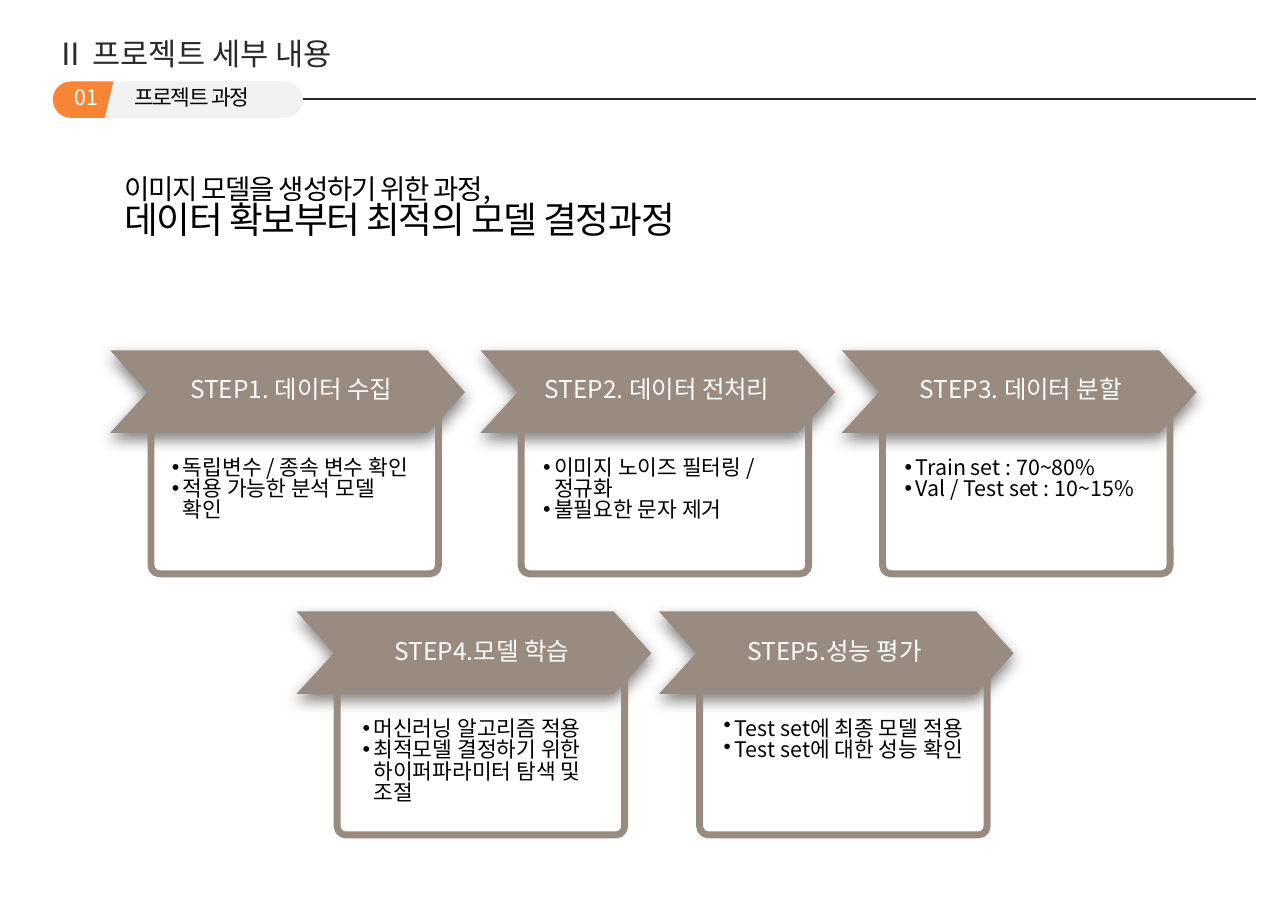
"""Build the slide that lays out the five steps of the modelling project."""
from dataclasses import dataclass
from math import cos, pi, sin

from lxml.etree import SubElement
from pptx import Presentation
from pptx.dml.color import RGBColor
from pptx.enum.shapes import MSO_CONNECTOR as Connector, MSO_SHAPE as Preset
from pptx.enum.text import MSO_ANCHOR as Anchor, MSO_AUTO_SIZE as AutoSize, PP_ALIGN as Align
from pptx.oxml.ns import qn
from pptx.shapes.autoshape import Shape
from pptx.slide import Slide
from pptx.util import Emu, Pt

EMU_PER_PX = 9144


@dataclass(frozen=True)
class Theme:
    font: str = "Noto Sans CJK KR"
    ink: str = "2A2A2A"
    black: str = "000000"
    white: str = "FFFFFF"
    taupe: str = "9A8B80"
    orange: str = "F78535"
    pale: str = "F2F2F2"
    title: int = 20
    lead: int = 18
    headline: int = 24
    step: int = 16
    body: int = 14
    leading: float = 0.83


@dataclass(frozen=True)
class Box:
    left: int
    top: int
    width: int
    height: int


@dataclass(frozen=True)
class Line:
    text: str
    size: int
    color: str
    tracking: int = 0
    bullet: bool = False


@dataclass(frozen=True)
class Step:
    left: int
    top: int
    heading: str
    heading_left: int
    list_left: int
    tasks: tuple[str, ...]


THEME = Theme()
STEPS = (
    Step(100, 318, "STEP1. 데이터 수집", 137, 146,
         ("독립변수 / 종속 변수 확인", "적용 가능한 분석 모델 확인")),
    Step(436, 318, "STEP2. 데이터 전처리", 469, 483,
         ("이미지 노이즈 필터링 / 정규화", "불필요한 문자 제거")),
    Step(764, 318, "STEP3. 데이터 분할", 799, 811,
         ("Train set : 70~80%", "Val / Test set : 10~15%")),
    Step(269, 555, "STEP4.모델 학습", 310, 319,
         ("머신러닝 알고리즘 적용", "최적모델 결정하기 위한 하이퍼파라미터 탐색 및 조절")),
    Step(598, 555, "STEP5.성능 평가", 630, 647,
         ("Test set에 최종 모델 적용", "Test set에 대한 성능 확인")),
)


def px(length: float) -> Emu:
    """Turn px into EMU."""
    return Emu(round(length * EMU_PER_PX))


def frame(box: Box) -> tuple[Emu, Emu, Emu, Emu]:
    """Return a box as EMU lengths."""
    return px(box.left), px(box.top), px(box.width), px(box.height)


def write(holder: Shape, box: Box, lines: list[Line],
          align: Align = Align.LEFT, anchor: Anchor = Anchor.MIDDLE) -> None:
    """Place a text holder and fill it with formatted lines."""
    holder.left, holder.top, holder.width, holder.height = frame(box)
    text = holder.text_frame
    text.word_wrap, text.auto_size, text.vertical_anchor = True, AutoSize.NONE, anchor
    for index, line in enumerate(lines):
        paragraph = text.add_paragraph() if index else text.paragraphs[0]
        if line.bullet:
            properties = paragraph._p.get_or_add_pPr()
            properties.set("marL", str(px(10)))
            properties.set("indent", str(px(-10)))
            SubElement(properties, qn("a:buChar"), char="•")
        paragraph.alignment, paragraph.line_spacing = align, THEME.leading
        paragraph.space_before = Pt(0)
        run = paragraph.add_run()
        run.text = line.text
        run.font.size, run.font.bold, run.font.name = Pt(line.size), False, THEME.font
        run.font.color.rgb = RGBColor.from_string(line.color)
        run_properties = run._r.get_or_add_rPr()
        SubElement(run_properties, qn("a:ea"), typeface=THEME.font)
        if line.tracking:
            run_properties.set("spc", str(line.tracking))


def add_label(slide: Slide, box: Box, lines: list[Line],
              align: Align = Align.LEFT, anchor: Anchor = Anchor.MIDDLE) -> None:
    """Add a text box."""
    write(slide.shapes.add_textbox(*frame(box)), box, lines, align, anchor)


def paint(shape: Shape, color: str) -> None:
    """Fill a shape flatly, without line or shadow."""
    shape.shadow.inherit = False
    shape.fill.solid()
    shape.fill.fore_color.rgb = RGBColor.from_string(color)
    shape.line.fill.background()


def add_outline(slide: Slide, points: list[tuple[float, float]], color: str) -> Shape:
    """Add a filled polygon through points given in px."""
    start, *rest = [(px(x), px(y)) for x, y in points]
    builder = slide.shapes.build_freeform(*start)
    builder.add_line_segments(rest, close=True)
    outline = builder.convert_to_shape()
    paint(outline, color)
    return outline


def cast_shadow(shape: Shape) -> None:
    """Give a shape a soft shadow below it."""
    effects = shape._element.spPr.find(qn("a:effectLst"))
    shadow = SubElement(effects, qn("a:outerShdw"), blurRad=str(Pt(10)), dist=str(Pt(4)),
                        dir="5400000", algn="t", rotWithShape="0")
    shade = SubElement(shadow, qn("a:srgbClr"), val=THEME.ink)
    SubElement(shade, qn("a:alpha"), val="60000")


def add_step(slide: Slide, step: Step) -> None:
    """Draw the arrow banner, card and heading of a step."""
    x, y = step.left, step.top
    banner = add_outline(slide, [(x, y), (x + 288, y), (x + 322, y + 38), (x + 288, y + 75),
                                 (x, y + 75), (x + 34, y + 38)], THEME.taupe)
    cast_shadow(banner)
    card = slide.shapes.add_shape(Preset.ROUNDED_RECTANGLE, *frame(Box(x + 37, y + 46, 261, 157)))
    card.adjustments[0] = 0.05
    card.shadow.inherit = False
    card.fill.background()
    card.line.width = Pt(4.5)
    card.line.color.rgb = RGBColor.from_string(THEME.taupe)
    add_label(slide, Box(step.heading_left, y + 7, 255, 61),
              [Line(step.heading, THEME.step, THEME.white)], Align.CENTER)


def add_section_bar(slide: Slide) -> None:
    """Draw the rule and the numbered section badge."""
    rule = slide.shapes.add_connector(Connector.STRAIGHT, px(56), px(90), px(1140), px(90))
    rule.line.width = Pt(1.5)
    rule.line.color.rgb = RGBColor.from_string(THEME.ink)
    SubElement(rule._element.spPr, qn("a:effectLst"))
    pill = slide.shapes.add_shape(Preset.ROUNDED_RECTANGLE, *frame(Box(48, 74, 227, 33)))
    pill.adjustments[0] = 0.5
    paint(pill, THEME.pale)
    add_label(slide, Box(112, 75, 154, 30), [Line("프로젝트 과정", THEME.body, THEME.black, -90)])
    radius = 16.5
    turns = [pi / 2 + pi * part / 24 for part in range(25)]
    cap = [(48 + radius + radius * cos(turn), 74 + radius + radius * sin(turn)) for turn in turns]
    add_outline(slide, [(103, 74), (95, 107), *cap], THEME.orange)
    add_label(slide, Box(53, 75, 51, 30), [Line("01", THEME.body, THEME.white)], Align.CENTER)


def main() -> None:
    """Build and save the presentation."""
    deck = Presentation()
    deck.slide_width, deck.slide_height = px(1169), px(827)
    slide = deck.slides.add_slide(deck.slide_layouts.get_by_name("Comparison"))
    title, *bodies = slide.placeholders
    write(title, Box(40, 30, 390, 42), [Line("Ⅱ 프로젝트 세부 내용", THEME.title, THEME.ink)])
    for step in STEPS:
        add_step(slide, step)
        box = Box(step.list_left, step.top + 93, 242, 98)
        tasks = bodies.pop(0) if bodies else slide.shapes.add_textbox(*frame(box))
        write(tasks, box, [Line(task, THEME.body, THEME.black, bullet=True) for task in step.tasks],
              anchor=Anchor.TOP)
    add_label(slide, Box(103, 156, 1084, 95),
              [Line("이미지 모델을 생성하기 위한 과정,", THEME.lead, THEME.black, -80),
               Line("데이터 확보부터 최적의 모델 결정과정", THEME.headline, THEME.black, -80)],
              anchor=Anchor.TOP)
    add_section_bar(slide)
    deck.save("out.pptx")


if __name__ == "__main__":
    main()
